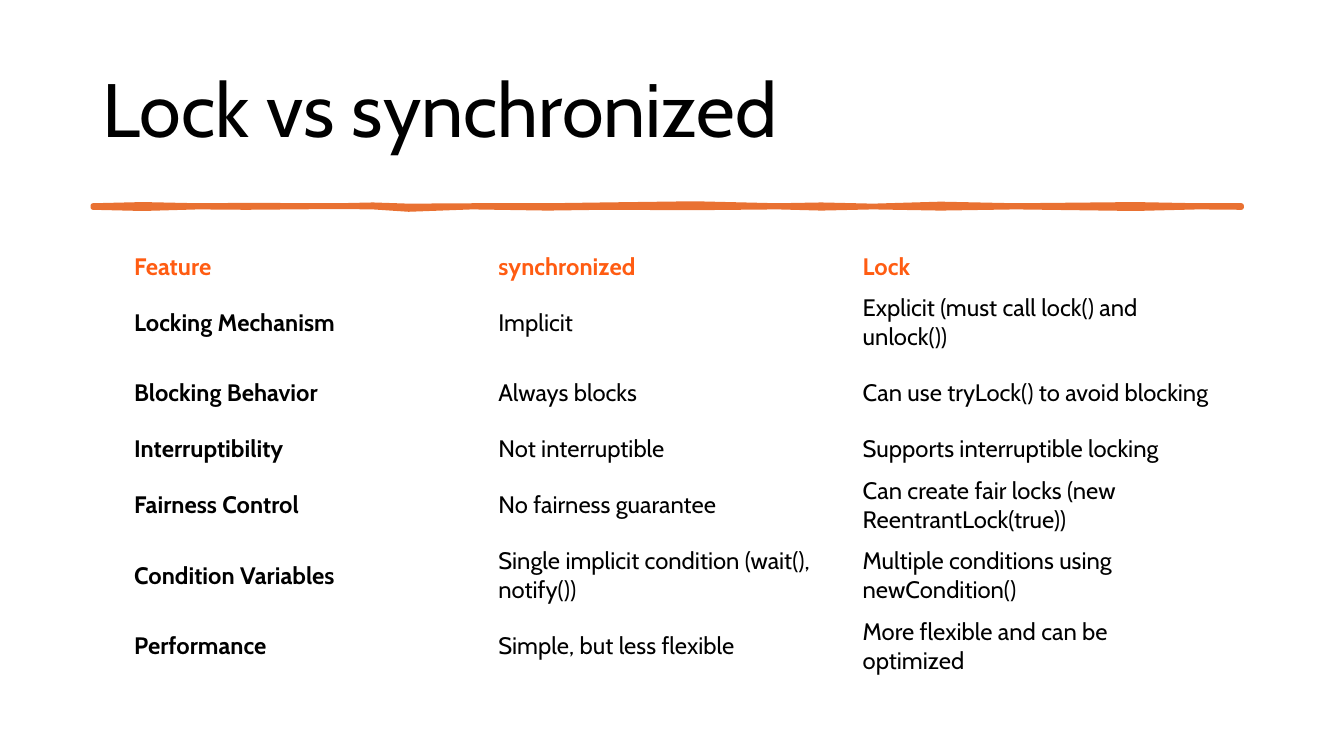
from pptx import Presentation
from pptx.dml.color import RGBColor
from pptx.enum import text as t
from pptx.util import Cm, Pt

FONT = "Cabin"
BLACK = RGBColor(0x00, 0x00, 0x00)
HEADER_ORANGE = RGBColor(0xFF, 0x5C, 0x12)
RULE_ORANGE = RGBColor(0xE9, 0x71, 0x32)

# Brush stroke in cm: x, upper edge, lower edge
STROKE = [
    (2.34, 5.18, 5.23), (3.6, 5.15, 5.26), (5, 5.18, 5.22),
    (6.2, 5.17, 5.23), (8.5, 5.18, 5.21), (9.4, 5.16, 5.22),
    (10.3, 5.19, 5.28), (11.9, 5.18, 5.22), (13.8, 5.18, 5.25),
    (15.2, 5.16, 5.23), (17.5, 5.13, 5.24), (19.6, 5.18, 5.22),
    (20.7, 5.16, 5.25), (22, 5.19, 5.22), (23.7, 5.14, 5.25),
    (25.6, 5.18, 5.22), (28.6, 5.15, 5.26), (30.2, 5.18, 5.22),
    (31.29, 5.18, 5.23),
]

ROWS = [
    ("Feature", "synchronized", "Lock"),
    ("Locking Mechanism", "Implicit", "Explicit (must call lock() and unlock())"),
    ("Blocking Behavior", "Always blocks", "Can use tryLock() to avoid blocking"),
    ("Interruptibility", "Not interruptible", "Supports interruptible locking"),
    ("Fairness Control", "No fairness guarantee",
     "Can create fair locks (new ReentrantLock(true))"),
    ("Condition Variables", "Single implicit condition (wait(), notify())",
     "Multiple conditions using newCondition()"),
    ("Performance", "Simple, but less flexible", "More flexible and can be optimized"),
]
SHORT_ROW, TALL_ROW = Cm(1.04), Cm(1.78)
ONE_LINE_ROWS = (0, 3)
COLUMN_WIDTH = Cm(9.18)


def style_text(frame, size, color, bold=False):
    for para in frame.paragraphs:
        for span in para.runs:
            font = span.font
            font.name, font.size, font.bold = FONT, Pt(size), bold
            font.color.rgb = color


def add_title(page, words):
    box = page.shapes.add_textbox(Cm(2.34), Cm(1.02), Cm(29.21), Cm(3.68))
    frame = box.text_frame
    frame.word_wrap = True
    frame.vertical_anchor = t.MSO_ANCHOR.MIDDLE
    frame.text = words
    frame.paragraphs[0].line_spacing = 0.9
    style_text(frame, 54, BLACK)


def add_brush_rule(page):
    upper = [(Cm(x), Cm(top)) for x, top, _ in STROKE]
    lower = [(Cm(x), Cm(bottom)) for x, _, bottom in reversed(STROKE)]
    builder = page.shapes.build_freeform(*upper[0])
    builder.add_line_segments(upper[1:] + lower, close=True)
    rule = builder.convert_to_shape()
    rule.shadow.inherit = False
    rule.fill.solid()
    rule.fill.fore_color.rgb = RULE_ORANGE
    rule.line.color.rgb = RULE_ORANGE
    rule.line.width = Pt(3.25)


def fill_cell(cell, words, color, bold):
    cell.fill.background()
    cell.vertical_anchor = t.MSO_ANCHOR.MIDDLE
    cell.margin_left = cell.margin_right = Cm(0.23)
    cell.margin_top = cell.margin_bottom = Cm(0.12)
    cell.text_frame.text = words
    style_text(cell.text_frame, 17, color, bold)


def add_comparison(page):
    heights = [SHORT_ROW if i in ONE_LINE_ROWS else TALL_ROW
               for i in range(len(ROWS))]
    columns = len(ROWS[0])
    table = page.shapes.add_table(
        len(ROWS), columns, Cm(3.15), Cm(6.2),
        COLUMN_WIDTH * columns, sum(heights)).table
    table.first_row = table.horz_banding = False
    for column in table.columns:
        column.width = COLUMN_WIDTH
    for i, (height, words) in enumerate(zip(heights, ROWS)):
        table.rows[i].height = height
        for j, word in enumerate(words):
            color = HEADER_ORANGE if i == 0 else BLACK
            fill_cell(table.cell(i, j), word, color, bold=i == 0 or j == 0)


def main():
    deck = Presentation()
    deck.slide_width, deck.slide_height = Cm(33.87), Cm(19.05)
    page = deck.slides.add_slide(deck.slide_layouts[6])

    # Heading and the stroke below it
    add_title(page, "Lock vs synchronized")
    add_brush_rule(page)

    # Feature table
    add_comparison(page)

    deck.save("out.pptx")


if __name__ == "__main__":
    main()
